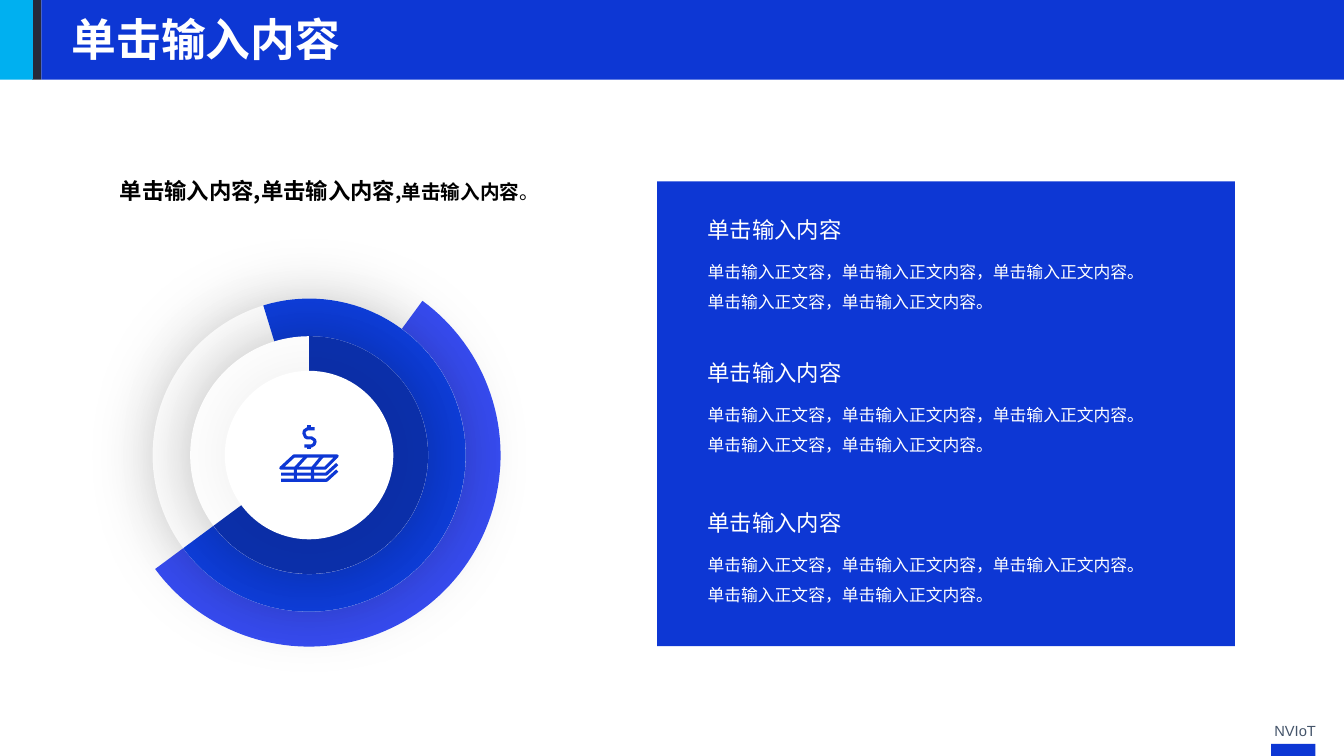
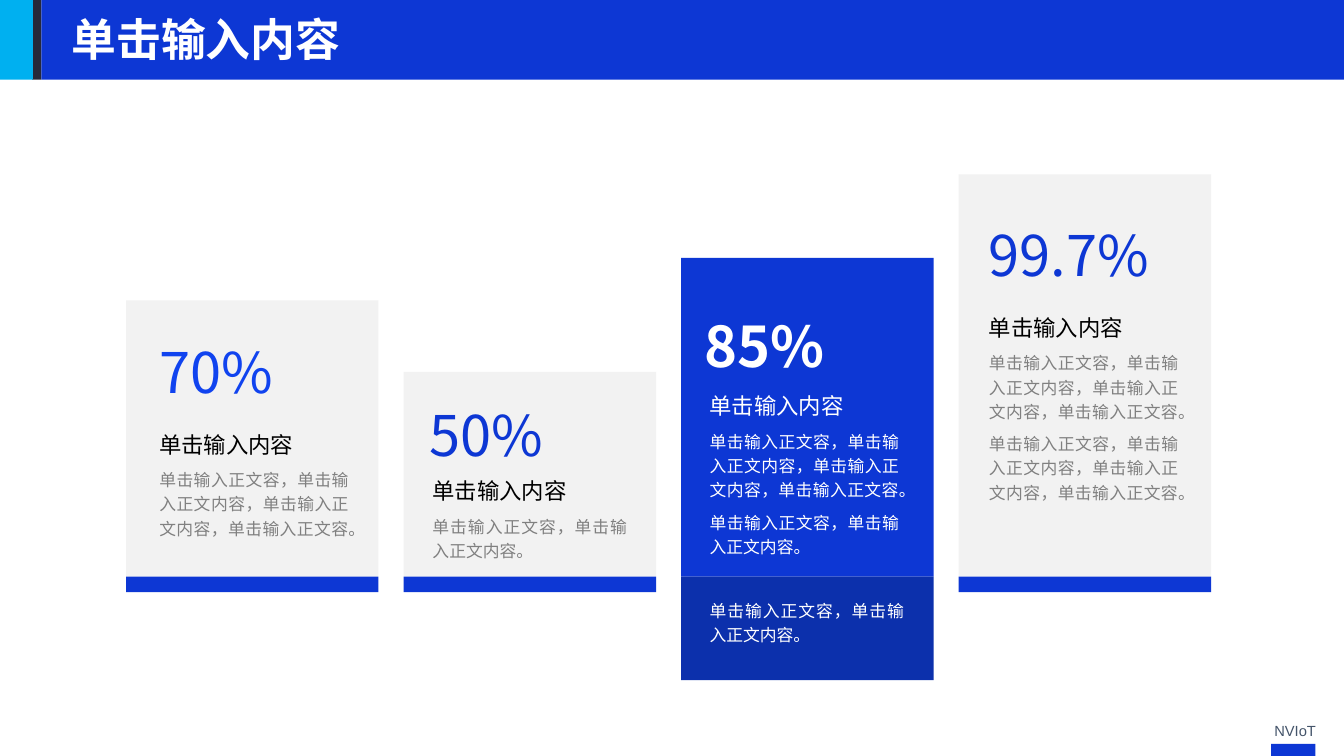
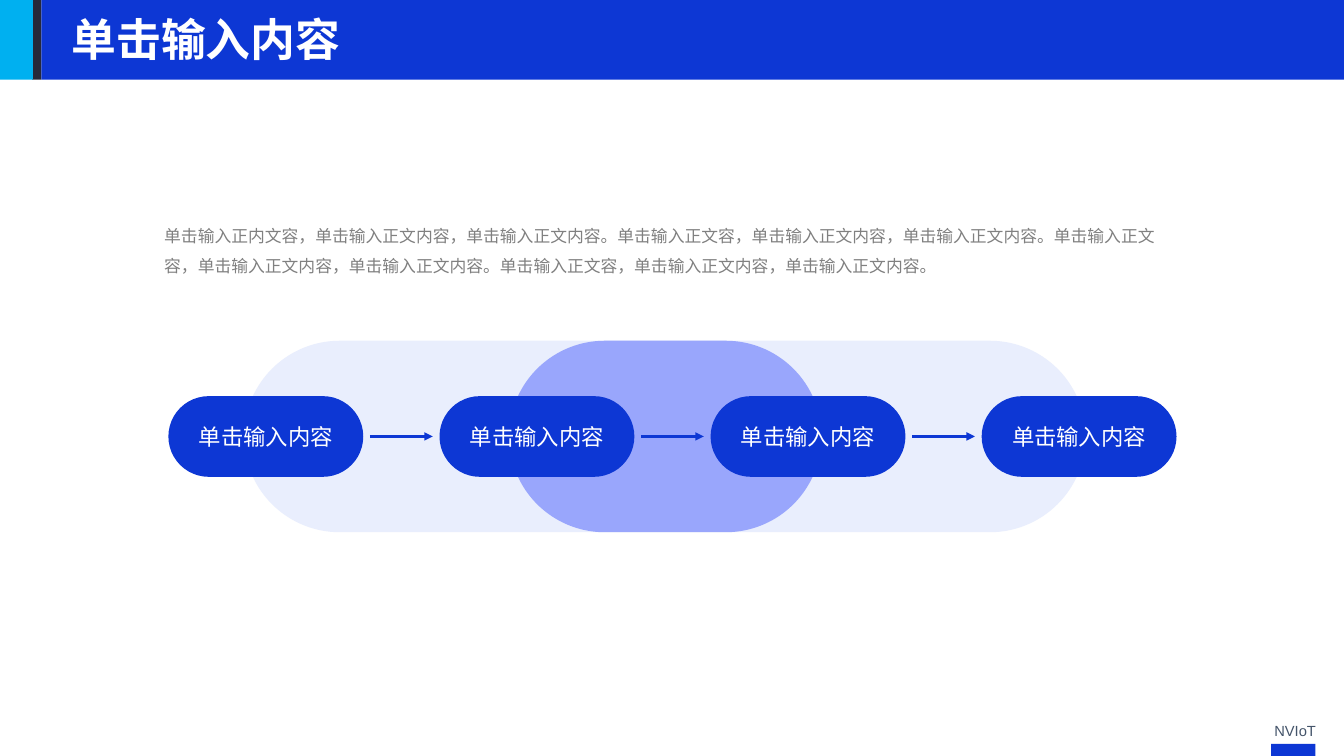
from math import cos, radians, sin

from lxml.etree import SubElement
from pptx import Presentation
from pptx.dml.color import RGBColor
from pptx.enum.shapes import MSO_CONNECTOR, MSO_SHAPE
from pptx.enum.text import MSO_ANCHOR, MSO_AUTO_SIZE, PP_ALIGN
from pptx.oxml.ns import qn
from pptx.util import Inches, Pt

BLUE = RGBColor(0x0D, 0x37, 0xD4)
NAVY = RGBColor(0x0C, 0x30, 0xAC)
ROYAL = RGBColor(0x0E, 0x3E, 0xDC)
VIOLET = RGBColor(0x38, 0x4D, 0xF3)
BRIGHT = RGBColor(0x10, 0x43, 0xEF)
LILAC = RGBColor(0x99, 0xA6, 0xFC)
PALE = RGBColor(0xE9, 0xEE, 0xFD)
CYAN = RGBColor(0x00, 0xB0, 0xF0)
DARK = RGBColor(0x26, 0x29, 0x3A)
SLATE = RGBColor(0x44, 0x54, 0x6A)
GRAY = RGBColor(0x80, 0x80, 0x80)
LIGHT = RGBColor(0xF2, 0xF2, 0xF2)
WHITE = RGBColor(0xFF, 0xFF, 0xFF)
BLACK = RGBColor(0x00, 0x00, 0x00)

FONT = "Noto Sans CJK SC"
RECT, PILL, OVAL = MSO_SHAPE.RECTANGLE, MSO_SHAPE.ROUNDED_RECTANGLE, MSO_SHAPE.OVAL
HEADING = "单击输入内容"
BODY_INSETS = (0, 0.04, 0.24, 0.04)

prs = Presentation()
prs.slide_width, prs.slide_height = Inches(13.33), Inches(7.5)
W, H = prs.slide_width, prs.slide_height


def add_box(s, kind, x, y, w, h, fill=None):
    """Add a shape, or a text box if kind is None; lengths are percent of the slide."""
    at = [int(v * side / 100) for v, side in zip((x, y, w, h), (W, H, W, H))]
    if kind is None:
        sp = s.shapes.add_textbox(*at)
        sp.text_frame.auto_size = MSO_AUTO_SIZE.SHAPE_TO_FIT_TEXT
        return sp
    sp = s.shapes.add_shape(kind, *at)
    sp.shadow.inherit = False
    sp.fill.solid()
    sp.fill.fore_color.rgb = fill
    sp.line.fill.background()
    if kind == PILL:
        sp.adjustments[0] = 0.5
    return sp


def write(sp, paragraphs, align=None, spacing=None, insets=None, font=FONT):
    """Fill a shape; each paragraph lists runs of (text, size, colour, bold)."""
    tf = sp.text_frame
    tf.word_wrap = True
    if insets:
        tf.margin_left, tf.margin_top, tf.margin_right, tf.margin_bottom = map(Inches, insets)
    for i, runs in enumerate(paragraphs):
        p = tf.paragraphs[0] if i == 0 else tf.add_paragraph()
        p.alignment = align
        if spacing:
            p.line_spacing = spacing[min(i, len(spacing) - 1)]
            p.space_before = Pt(6)
        for text, size, color, bold in runs:
            r = p.add_run()
            r.text = text
            r.font.name, r.font.size, r.font.bold = font, Pt(size), bold
            r.font.color.rgb = color
            SubElement(r.font._element, qn("a:ea"), typeface=font)


# Shared band, title and footer
slides = []
for _ in range(3):
    s = prs.slides.add_slide(prs.slide_layouts[6])
    add_box(s, RECT, 2.4, 0, 0.68, 10.53, DARK)
    add_box(s, RECT, 0, 0, 2.45, 10.53, CYAN)
    add_box(s, RECT, 3.08, 0, 96.92, 10.53, BLUE)
    write(add_box(s, None, 4.58, 0.93, 53.18, 8.53), [[(HEADING, 32, WHITE, True)]])
    write(add_box(s, None, 91.95, 94.8, 6.7, 3.73), [[("NVIoT", 10.5, SLATE, False)]],
          PP_ALIGN.RIGHT, font="Arial")
    add_box(s, RECT, 94.58, 98.4, 3.3, 1.6, BLUE)
    slides.append(s)
rings, cards, flow = slides

# Slide 1: ring sectors over white discs; radii are percent of the width
CX, CY, END = 23, 60.2, 233.5
sectors = [
    # radius, start angle, colour, shadow (opacity percent, blur points)
    (14.25, 36.3, VIOLET, None),
    (11.65, -17, ROYAL, (19, 50)),
    (8.85, 0, NAVY, (25, 53)),
    (6.27, None, None, (8, 58)),
]
for radius, start, color, shadow in sectors:
    ry = radius * W / H
    disc = add_box(rings, OVAL, CX - radius, CY - ry, 2 * radius, 2 * ry, WHITE)
    if shadow:
        opacity, blur = shadow
        effects = disc._element.spPr.find(qn("a:effectLst"))
        outer = SubElement(effects, qn("a:outerShdw"), blurRad=str(Pt(blur)), dist="0",
                           algn="ctr", rotWithShape="0")
        tint = SubElement(outer, qn("a:srgbClr"), val="000000")
        SubElement(tint, qn("a:alpha"), val=str(opacity * 1000))
    if color is None:
        continue
    angles = [radians(start + (END - start) * i / 90) for i in range(91)]
    fb = rings.shapes.build_freeform(int(CX * W / 100), int(CY * H / 100))
    fb.add_line_segments([((CX + radius * sin(a)) * W / 100, (CY - ry * cos(a)) * H / 100)
                          for a in angles], close=True)
    sp = fb.convert_to_shape()
    sp.shadow.inherit = False
    sp.fill.solid()
    sp.fill.fore_color.rgb = color
    sp.line.fill.background()

# Banknotes icon, drawn as strokes
strokes = [
    [(3, 87), (29, 63), (115, 63), (91, 87), (3, 87)],
    [(4, 99), (93, 99), (115, 79)],
    [(4, 111), (94, 111), (115, 92)],
    [(54, 63), (32, 87), (32, 111)],
    [(86, 63), (66, 87), (66, 111)],
    [(70, 9), (56, 9), (50, 13), (49, 18), (52, 25), (56, 27), (64, 27),
     (70, 31), (71, 35), (69, 40), (64, 43), (50, 43)],
    [(59, 2), (59, 9)],
    [(59, 43), (59, 50)],
]
fb = rings.shapes.build_freeform(*strokes[0][0], scale=W / 2667)
for stroke in strokes:
    fb.move_to(*stroke[0])
    fb.add_line_segments(stroke[1:], close=False)
icon = fb.convert_to_shape(int(W * 0.2078), int(H * 0.5613))
icon.shadow.inherit = False
icon.fill.background()
icon.line.color.rgb = BLUE
icon.line.width = Pt(2.25)

# Heading and text panel
write(add_box(rings, None, 8.18, 22.8, 42.75, 4.93),
      [[("单击输入内容,单击输入内容", 16, BLACK, True), (",单击输入内容", 14, BLACK, True),
        ("。", 14, BLACK, False)]], PP_ALIGN.JUSTIFY)
add_box(rings, RECT, 48.9, 24, 42.98, 61.47, BLUE)
panel_text = "单击输入正文容，单击输入正文内容，单击输入正文内容。单击输入正文容，单击输入正文内容。"
for top, heading_spacing in [(27.33, 1.2), (46.27, 1.2), (65.07, 1.5)]:
    write(add_box(rings, None, 52.65, top, 34.35, 14.53),
          [[(HEADING, 16, WHITE, False)], [(panel_text, 12, WHITE, False)]],
          spacing=(heading_spacing, 1.5), insets=BODY_INSETS)

# Slide 2: four cards on a common base line
LONG = "单击输入正文容，单击输入正文内容，单击输入正文内容，单击输入正文容。"
SHORT = "单击输入正文容，单击输入正文内容。"
BASE, CARD_W, STEP = 76.27, 18.78, 20.65
card_rows = [
    # card top, number, its left, top and colour, body left, top and width, body
    (39.73, "70%", 11.85, 42.4, BRIGHT, 11.85, 55.73, 15.9, [LONG]),
    (49.2, "50%", 31.95, 50.67, BLUE, 32.18, 61.87, 16.28, [SHORT]),
    (34.13, "85%", 52.43, 38.93, WHITE, 52.8, 50.67, 15.9, [LONG, SHORT]),
    (23.07, "99.7%", 73.58, 26.8, BLUE, 73.58, 40.27, 15.9, [LONG, LONG]),
]
for i, (top, number, nx, ny, color, bx, by, bw, body) in enumerate(card_rows):
    left = 9.38 + i * STEP
    strong = number == "85%"
    add_box(cards, RECT, left, top, CARD_W, BASE - top, BLUE if strong else LIGHT)
    add_box(cards, RECT, left, BASE, CARD_W, 13.7 if strong else 2.07,
            NAVY if strong else BLUE)
    write(add_box(cards, None, nx, ny, 16.43, 11.87), [[(number, 40, color, strong)]],
          spacing=(1.2,), insets=BODY_INSETS)
    write(add_box(cards, None, bx, by, bw, 16),
          [[(HEADING, 16, WHITE if strong else BLACK, False)]]
          + [[(text, 12, WHITE if strong else GRAY, False)] for text in body],
          PP_ALIGN.JUSTIFY, (1.2,), BODY_INSETS)
write(add_box(cards, None, 52.8, 78.4, 16.28, 7.47), [[(SHORT, 12, WHITE, False)]],
      PP_ALIGN.JUSTIFY, (1.2,), BODY_INSETS)

# Slide 3: intro text and four linked steps
intro = ("单击输入正内文容，单击输入正文内容，单击输入正文内容。"
         + "单击输入正文容，单击输入正文内容，单击输入正文内容。" * 3)
write(add_box(flow, None, 11.48, 27.87, 76.05, 9.47), [[(intro, 12, GRAY, False)]],
      spacing=(1.5,))
add_box(flow, PILL, 18.15, 45.07, 62.63, 25.33, PALE)
add_box(flow, PILL, 37.88, 45.07, 23.25, 25.33, LILAC)
PILL_W, PITCH, GAP = 14.5, 20.17, 0.5
for i in range(4):
    left = 12.53 + i * PITCH
    sp = add_box(flow, PILL, left, 52.4, PILL_W, 10.67, BLUE)
    sp.text_frame.vertical_anchor = MSO_ANCHOR.MIDDLE
    write(sp, [[(HEADING, 16, WHITE, False)]], PP_ALIGN.CENTER)
    if i < 3:
        y = int(H * 0.5773)
        arrow = flow.shapes.add_connector(
            MSO_CONNECTOR.STRAIGHT, int(W * (left + PILL_W + GAP) / 100), y,
            int(W * (left + PITCH - GAP) / 100), y)
        arrow.line.color.rgb = BLUE
        arrow.line.width = Pt(2)
        spPr = arrow._element.spPr
        SubElement(spPr.find(qn("a:ln")), qn("a:tailEnd"), type="triangle")
        SubElement(spPr, qn("a:effectLst"))

prs.save("out.pptx")
